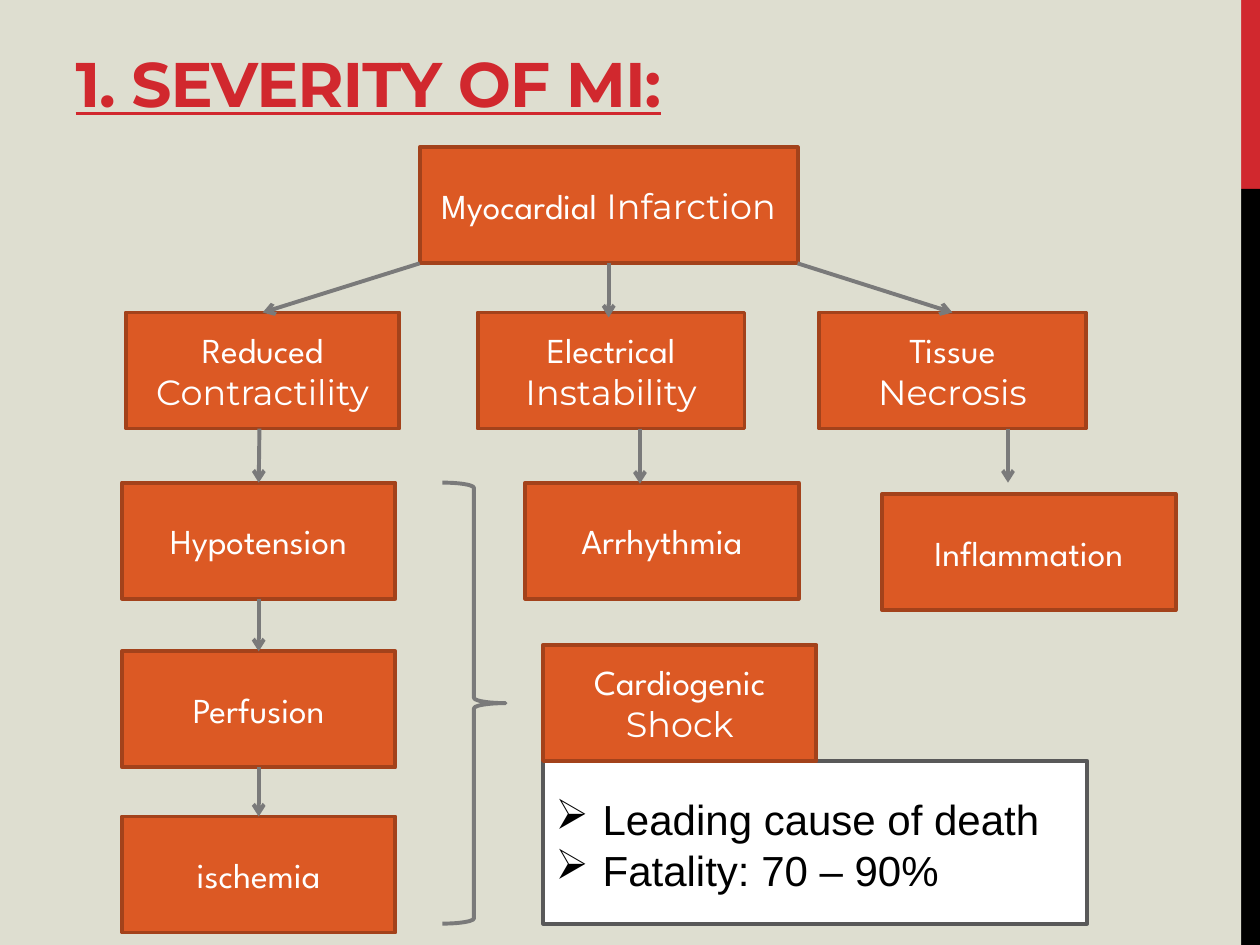
import pptx
import pptx.util
import pptx.dml.color
import pptx.enum.shapes
import pptx.enum.text
import pptx.oxml
import pptx.oxml.ns
from pptx.util import Cm

COLORS = {
    "red": "D1282E", "black": "000000", "paper": "DEDED0", "white": "FFFFFF",
    "frame": "595959", "orange": "DC5924", "rust": "A3421B", "gray": "7A7A7A",
}
SHAPE = pptx.enum.shapes.MSO_SHAPE
BOX_HEIGHT = 2.34


def rgb(name):
    return pptx.dml.color.RGBColor.from_string(COLORS[name])


def add_block(left, top, width, height, fill=None, line=None, kind=SHAPE.RECTANGLE):
    block = slide.shapes.add_shape(kind, Cm(left), Cm(top), Cm(width), Cm(height))
    block.shadow.inherit = False
    if fill:
        block.fill.solid()
        block.fill.fore_color.rgb = rgb(fill)
    else:
        block.fill.background()
    if line:
        block.line.color.rgb = rgb(line)
        block.line.width = pptx.util.Pt(2.25)
    else:
        block.line.fill.background()
    return block


presentation = pptx.Presentation()
presentation.slide_width, presentation.slide_height = Cm(25.4), Cm(19.05)
slide = presentation.slides.add_slide(presentation.slide_layouts[5])

# Side bars, background and frame of the notes
add_block(24.99, 0, 0.41, 3.81, "red")
add_block(24.99, 3.81, 0.41, 15.24, "black")
add_block(0, 0, 25.02, 19.05, "paper")
add_block(10.95, 15.34, 10.97, 3.28, "white", "frame")

# Title, raised above the background
title = slide.shapes.title
title.element.getparent().append(title.element)
title.left, title.top, title.width, title.height = Cm(1.27), Cm(0.64), Cm(21.16), Cm(1.91)
title.text_frame.text = "1. SEVERITY OF MI:"
title.text_frame.vertical_anchor = pptx.enum.text.MSO_ANCHOR.BOTTOM
heading = title.text_frame.paragraphs[0]
heading.alignment = pptx.enum.text.PP_ALIGN.LEFT
heading_font = heading.runs[0].font
heading_font.name, heading_font.size = "Montserrat", pptx.util.Pt(36)
heading_font.bold = heading_font.underline = True
heading_font.color.rgb = rgb("red")
heading.runs[0]._r.get_or_add_rPr().set("spc", "-60")

# Flow boxes: first words, last word, left, top, width
steps = [
    ("Myocardial", " Infarction", 8.46, 2.97, 7.62),
    ("Reduced ", "Contractility", 2.54, 6.3, 5.51),
    ("Electrical ", "Instability", 9.63, 6.3, 5.38),
    ("Tissue ", "Necrosis", 16.51, 6.3, 5.38),
    ("Hypotension", "", 2.46, 9.73, 5.51),
    ("Perfusion", "", 2.46, 13.13, 5.51),
    ("ischemia", "", 2.46, 16.46, 5.51),
    ("Cardiogenic ", "Shock", 10.95, 13, 5.51),
    ("Arrhythmia", "", 10.59, 9.73, 5.51),
    ("Inflammation", "", 17.78, 9.96, 5.92),
]
boxes = {}
for first, last, left, top, width in steps:
    box = add_block(left, top, width, BOX_HEIGHT, "orange", "rust")
    box.text_frame.word_wrap = True
    box.text_frame.vertical_anchor = pptx.enum.text.MSO_ANCHOR.MIDDLE
    label = box.text_frame.paragraphs[0]
    label.alignment = pptx.enum.text.PP_ALIGN.CENTER
    for words, face in ((first, "League Spartan"), (last, "Montserrat")):
        if words:
            run = label.add_run()
            run.text = words
            run.font.name, run.font.size = face, pptx.util.Pt(20)
            run.font.color.rgb = rgb("white")
    boxes[first.strip()] = box

# Brace from the left column to the shock
add_block(8.92, 9.73, 1.27, 8.89, line="gray", kind=SHAPE.RIGHT_BRACE)

# Notes on the shock
notes = slide.shapes.add_textbox(Cm(10.95), Cm(15.88), Cm(12.98), Cm(2.31)).text_frame
notes.word_wrap = True
notes.text = "Leading cause of death\nFatality: 70 – 90%"
for note in notes.paragraphs:
    note.font.name, note.font.size = "Arial", pptx.util.Pt(24)
    note.runs[0].font.name, note.runs[0].font.size = "Arial", pptx.util.Pt(24)
    note.runs[0].font.color.rgb = rgb("black")
    layout = note._p.get_or_add_pPr()
    layout.set("marL", str(Cm(0.95)))
    layout.set("indent", str(Cm(-0.95)))
    bullet = pptx.oxml.parse_xml(
        f'<a:buChar {pptx.oxml.ns.nsdecls("a")} char="➢"/>')
    layout.insert_element_before(bullet, "a:tabLst", "a:defRPr", "a:extLst")

# Arrows: start and end are a box (bottom or top middle) or a point
arrows = [
    ("Reduced", "Hypotension", (5.23, 8.64), None),
    ("Hypotension", "Perfusion", None, None),
    ("Perfusion", "ischemia", None, None),
    ("Electrical", "Arrhythmia", (12.9, 8.64), (12.9, 9.75)),
    ("Tissue", "Inflammation", (20.32, 8.64), (20.32, 9.73)),
    ("Myocardial", "Electrical", None, (12.27, 6.4)),
    ("Myocardial", "Reduced", (8.46, 5.31), None),
    ("Myocardial", "Tissue", (16.08, 5.31), None),
]
for source, target, start, end in arrows:
    x1, y1 = start or (0, 0)
    x2, y2 = end or (0, 0)
    arrow = slide.shapes.add_connector(
        pptx.enum.shapes.MSO_CONNECTOR.STRAIGHT, Cm(x1), Cm(y1), Cm(x2), Cm(y2))
    if not start:
        arrow.begin_connect(boxes[source], 2)
    if not end:
        arrow.end_connect(boxes[target], 0)
    arrow.line.color.rgb = rgb("gray")
    arrow.line.width = pptx.util.Pt(2.25)
    arrow.line._get_or_add_ln().append(pptx.oxml.parse_xml(
        f'<a:tailEnd {pptx.oxml.ns.nsdecls("a")} type="arrow"/>'))
    arrow.element.spPr.append(pptx.oxml.parse_xml(
        f'<a:effectLst {pptx.oxml.ns.nsdecls("a")}/>'))

presentation.save("out.pptx")
